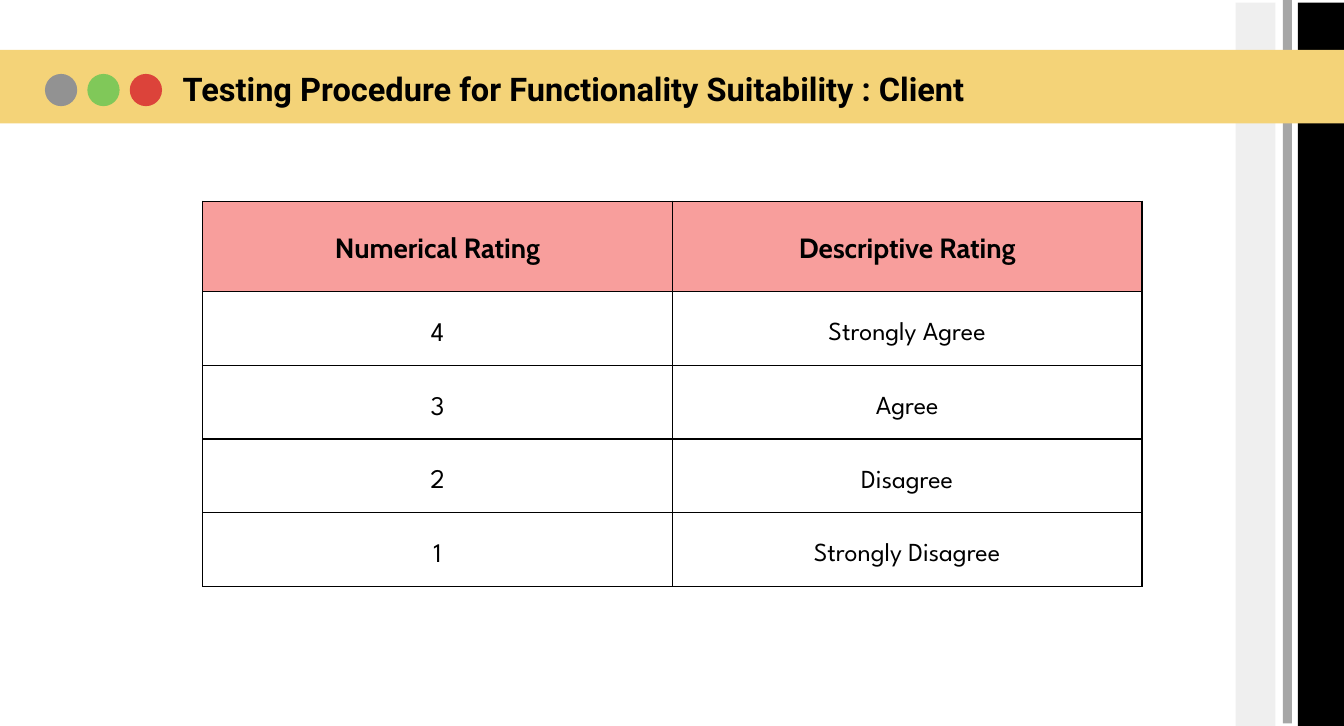
from lxml.etree import SubElement
from pptx import Presentation
from pptx.dml.color import RGBColor
from pptx.enum.shapes import MSO_SHAPE
from pptx.enum.text import MSO_ANCHOR, PP_ALIGN
from pptx.oxml.ns import qn
from pptx.util import Cm, Pt

BLACK = RGBColor(0x00, 0x00, 0x00)
WHITE = RGBColor(0xFF, 0xFF, 0xFF)
PALE = RGBColor(0xEF, 0xEF, 0xEF)
SILVER = RGBColor(0xA6, 0xA6, 0xA6)
GRAY = RGBColor(0x92, 0x92, 0x92)
GREEN = RGBColor(0x80, 0xC8, 0x59)
RED = RGBColor(0xDC, 0x43, 0x3A)
YELLOW = RGBColor(0xF4, 0xD3, 0x78)
PINK = RGBColor(0xF8, 0x9E, 0x9C)

WIDE, HIGH = 52.91, 28.58
RATINGS = [
    ("Numerical Rating", "Descriptive Rating"),
    ("4", "Strongly Agree"),
    ("3", "Agree"),
    ("2", "Disagree"),
    ("1", "Strongly Disagree"),
]


def write(frame, text, font, size, lead, bold=False, align=PP_ALIGN.LEFT):
    frame.word_wrap = True
    line = frame.paragraphs[0]
    line.alignment = align
    line.line_spacing = Pt(lead)
    run = line.add_run()
    run.text = text
    run.font.name = font
    run.font.size = Pt(size)
    run.font.bold = bold
    run.font.color.rgb = BLACK


def paint(slide, kind, box, color):
    """Add a preset shape with a plain fill and no line."""
    shape = slide.shapes.add_shape(kind, *(Cm(n) for n in box))
    shape.shadow.inherit = False
    shape.fill.solid()
    shape.fill.fore_color.rgb = color
    shape.line.fill.background()


def rule(cell):
    """Draw a black line on all four sides of a cell."""
    props = cell._tc.get_or_add_tcPr()
    for place, side in enumerate(("a:lnL", "a:lnR", "a:lnT", "a:lnB")):
        line = props.makeelement(qn(side), {"w": str(Pt(1.5))})
        fill = SubElement(line, qn("a:solidFill"))
        SubElement(fill, qn("a:srgbClr"), val=str(BLACK))
        props.insert(place, line)


def add_stripes(slide, left, top, width, height):
    drop = 0.1
    stripes = [
        (0, drop, 1.57, PALE),
        (2.46, drop, width - 2.46, BLACK),
        (1.86, 0, 0.36, SILVER),
    ]
    for x, y, wide, color in stripes:
        box = (left + x, top + y, wide, height - drop)
        paint(slide, MSO_SHAPE.RECTANGLE, box, color)


def add_banner(slide, left, top, width, height):
    paint(slide, MSO_SHAPE.RECTANGLE, (left, top, width, height), YELLOW)
    for i, color in enumerate((GRAY, GREEN, RED)):
        box = (left + 1.77 + 1.67 * i, top + 0.95, 1.27, 1.27)
        paint(slide, MSO_SHAPE.OVAL, box, color)
    title = slide.shapes.add_textbox(
        Cm(left + 7.19), Cm(top + 1.01), Cm(39.34), Cm(1.28))
    frame = title.text_frame
    frame.margin_left = frame.margin_right = 0
    frame.margin_top = frame.margin_bottom = 0
    write(frame, "Testing Procedure for Functionality Suitability : Client",
          font="Roboto", size=36.3, lead=36.3, bold=True)


def add_ratings(slide, left, top, width, height):
    rows, cols = len(RATINGS), len(RATINGS[0])
    table = slide.shapes.add_table(
        rows, cols, Cm(left), Cm(top), Cm(width), Cm(height)).table
    head = 3.56
    for i, row in enumerate(table.rows):
        row.height = Cm(head if i == 0 else (height - head) / (rows - 1))
    for i, texts in enumerate(RATINGS):
        for j, text in enumerate(texts):
            cell = table.cell(i, j)
            cell.vertical_anchor = MSO_ANCHOR.MIDDLE
            cell.margin_left = cell.margin_right = Cm(0.18)
            cell.margin_top = cell.margin_bottom = Cm(0.18)
            cell.fill.solid()
            cell.fill.fore_color.rgb = PINK if i == 0 else WHITE
            rule(cell)
            size = 31 if i == 0 else 30 - j
            write(cell.text_frame, text,
                  font="Cabin" if i == 0 else "League Spartan",
                  size=size, lead=size * 1.4, bold=i == 0,
                  align=PP_ALIGN.CENTER)


def main():
    deck = Presentation()
    deck.slide_width, deck.slide_height = Cm(WIDE), Cm(HIGH)
    slide = deck.slides.add_slide(deck.slide_layouts[6])
    add_stripes(slide, 48.64, 0, WIDE - 48.64, HIGH)
    add_banner(slide, 0, 1.96, WIDE, 2.9)
    add_ratings(slide, 7.98, 7.92, 36.98, 15.16)
    deck.save("out.pptx")


if __name__ == "__main__":
    main()
